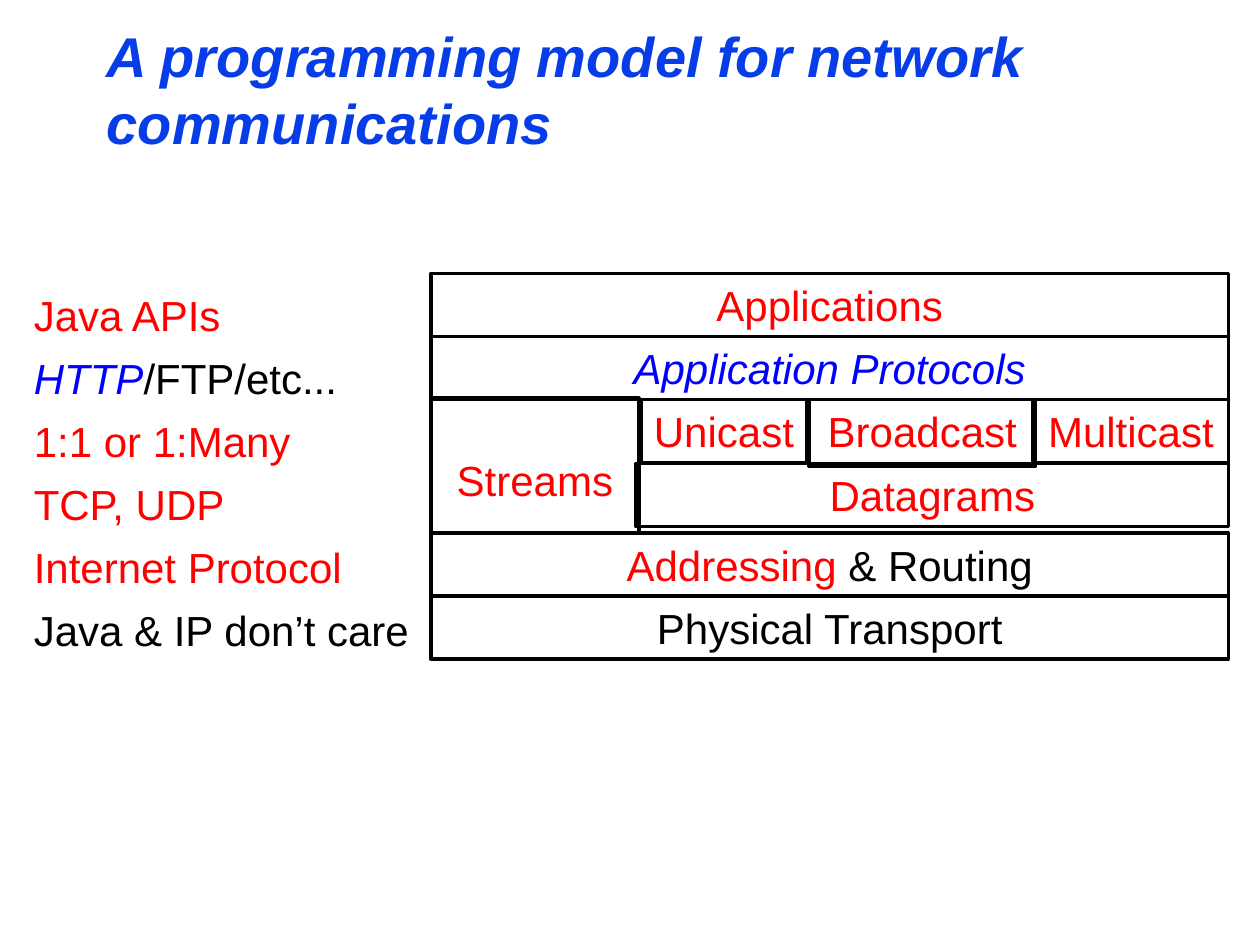
from pptx import Presentation
from pptx.dml.color import RGBColor
from pptx.enum.shapes import MSO_SHAPE
from pptx.enum.text import MSO_ANCHOR, PP_ALIGN
from pptx.util import Inches, Pt

COLORS = {
    "title": "063DE8",
    "java": "FF0000",
    "protocol": "0000FF",
    "plain": "000000",
    "paper": "FFFFFF",
}
ROW_HEIGHT = 0.5
LABEL_LEFT, LABEL_TOP = 0.17, 2.25
STACK_LEFT, STACK_WIDTH = 3.42, 6.33

LABELS = [
    (1.75, [("Java APIs", "java")]),
    (2.65, [("HTTP", "protocol"), ("/FTP/etc...", "plain")]),
    (2.3, [("1:1 or 1:Many", "java")]),
    (1.8, [("TCP, UDP", "java")]),
    (2.7, [("Internet Protocol", "java")]),
    (3.22, [("Java & IP don’t care", "plain")]),
]
FULL_ROWS = [
    (4.73, [("Physical Transport", "plain")]),
    (2.67, [("Application Protocols", "protocol")]),
    (2.17, [("Applications", "java")]),
]
TRANSPORT_CELLS = [
    ("Datagrams", 5.05, 3.68, 4.7, ROW_HEIGHT),
    ("Broadcast", 6.42, 3.17, 1.8, 0.53),
    ("Multicast", 8.2, 3.17, 1.55, ROW_HEIGHT),
    ("Unicast", 5.09, 3.17, 1.31, ROW_HEIGHT),
]


def color(key):
    return RGBColor.from_string(COLORS[key])


def write(frame, parts, size=24, bold=False, italic=False, align=PP_ALIGN.LEFT,
          anchor=MSO_ANCHOR.TOP, wrap=False):
    frame.word_wrap = wrap
    frame.vertical_anchor = anchor
    paragraph = frame.paragraphs[0]
    paragraph.alignment = align
    for text, key in parts:
        run = paragraph.add_run()
        run.text = text
        run.font.name = "Arial"
        run.font.size = Pt(size)
        run.font.bold = bold
        run.font.italic = italic or key == "protocol"
        run.font.color.rgb = color(key)


def add_text(shapes, parts, left, top, width, height, **style):
    box = shapes.add_textbox(Inches(left), Inches(top), Inches(width), Inches(height))
    write(box.text_frame, parts, **style)


def add_layer(shapes, parts, left, top, width, height=ROW_HEIGHT, fill=None, **style):
    layer = shapes.add_shape(MSO_SHAPE.RECTANGLE, Inches(left), Inches(top),
                             Inches(width), Inches(height))
    layer.shadow.inherit = False
    if fill:
        layer.fill.solid()
        layer.fill.fore_color.rgb = color(fill)
    else:
        layer.fill.background()
    layer.line.color.rgb = color("plain")
    layer.line.width = Pt(2)
    write(layer.text_frame, parts, align=PP_ALIGN.CENTER, **style)


def add_labels(slide):
    labels = slide.shapes.add_group_shape().shapes
    for row, (width, parts) in enumerate(LABELS):
        add_text(labels, parts, LABEL_LEFT, LABEL_TOP + row * ROW_HEIGHT, width, ROW_HEIGHT)


def add_stack(slide):
    stack = slide.shapes.add_group_shape().shapes
    for top, parts in FULL_ROWS:
        add_layer(stack, parts, STACK_LEFT, top, STACK_WIDTH)
    for name, left, top, width, height in TRANSPORT_CELLS:
        add_layer(stack, [(name, "java")], left, top, width, height)
    add_layer(stack, [("Streams", "java")], STACK_LEFT, 3.16, 1.65, 1.3,
              anchor=MSO_ANCHOR.MIDDLE)
    add_layer(stack, [("Addressing", "java"), (" & Routing", "plain")],
              STACK_LEFT, 4.23, STACK_WIDTH, fill="paper")


def main():
    deck = Presentation()
    deck.slide_width, deck.slide_height = Inches(10), Inches(7.5)
    slide = deck.slides.add_slide(deck.slide_layouts[6])
    add_text(slide.shapes, [("A programming model for network communications", "title")],
             0.75, 0.33, 8.5, 0.75, size=32, bold=True, italic=True,
             anchor=MSO_ANCHOR.MIDDLE, wrap=True)
    add_labels(slide)
    add_stack(slide)
    deck.save("out.pptx")


if __name__ == "__main__":
    main()
